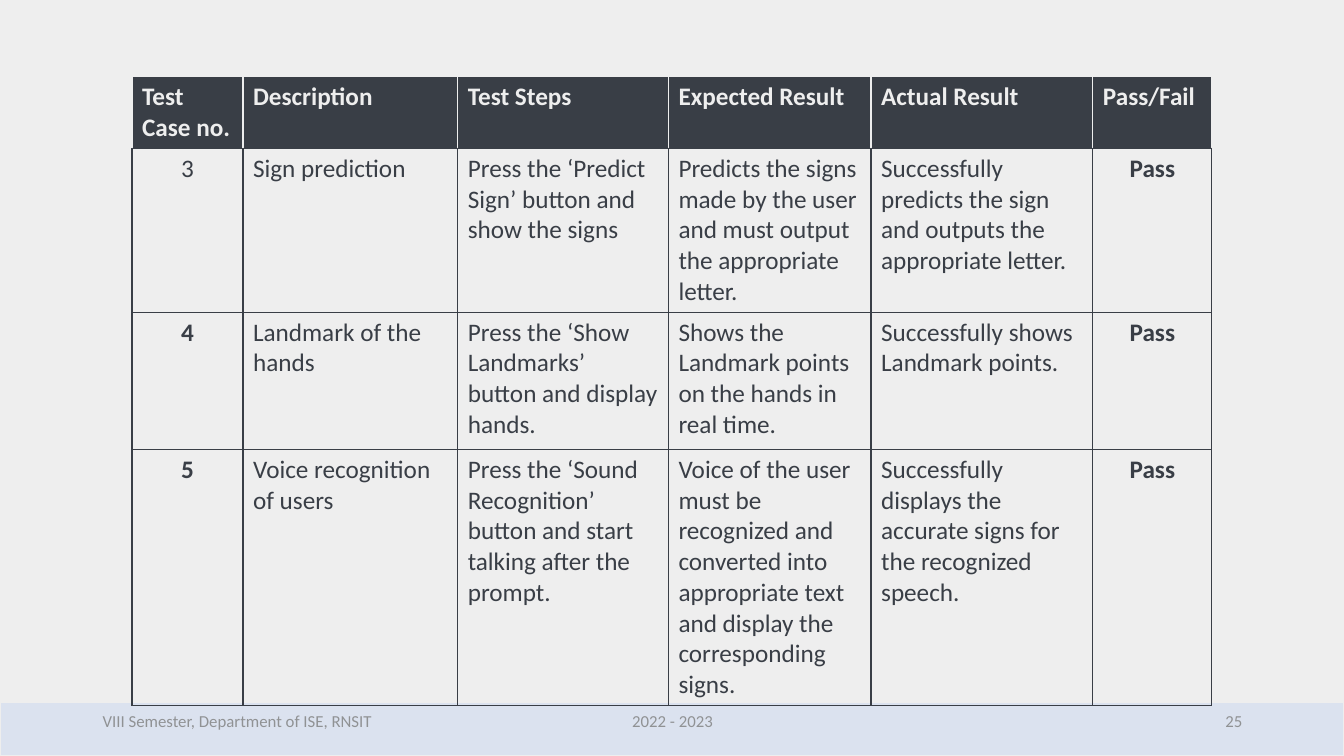
"""Build the test case results slide."""
from typing import NamedTuple

from lxml.etree import SubElement
from pptx import Presentation
from pptx.dml.color import RGBColor
from pptx.enum.shapes import MSO_SHAPE
from pptx.enum.text import MSO_ANCHOR, PP_ALIGN
from pptx.oxml.ns import qn
from pptx.util import Inches, Pt

INK = RGBColor(0x39, 0x3E, 0x46)
PAPER = RGBColor(0xEE, 0xEE, 0xEE)
BAND = RGBColor(0xDB, 0xE2, 0xEF)
MUTED = RGBColor(0x90, 0x92, 0x94)
FONT = "Calibri"

HEADINGS = ("Test Case no.", "Description", "Test Steps",
            "Expected Result", "Actual Result", "Pass/Fail")
COLUMN_WIDTHS = (1.1, 2.13, 2.09, 2.01, 2.2, 1.18)
ROW_HEIGHTS = (0.67, 1.52, 1.36, 1.36)
CENTERED_COLUMNS = (0, 5)


class TestCase(NamedTuple):
    number: str
    description: str
    steps: str
    expected: str
    actual: str
    verdict: str


class FooterItem(NamedTuple):
    text: str
    left: float
    width: float
    align: PP_ALIGN


TEST_CASES = (
    TestCase("3", "Sign prediction",
             "Press the ‘Predict Sign’ button and show the signs",
             "Predicts the signs made by the user and must output the appropriate letter.",
             "Successfully predicts the sign and outputs the appropriate letter.", "Pass"),
    TestCase("4", "Landmark of the hands",
             "Press the ‘Show Landmarks’ button and display hands.",
             "Shows the Landmark points on the hands in real time.",
             "Successfully shows Landmark points.", "Pass"),
    TestCase("5", "Voice recognition of users",
             "Press the ‘Sound Recognition’ button and start talking after the prompt.",
             "Voice of the user must be recognized and converted into appropriate text "
             "and display the corresponding signs.",
             "Successfully displays the accurate signs for the recognized speech.", "Pass"),
)
FOOTER = (
    FooterItem("VIII Semester, Department of ISE, RNSIT", 0.92, 3.5, PP_ALIGN.LEFT),
    FooterItem("2022 - 2023", 4.42, 4.5, PP_ALIGN.CENTER),
    FooterItem("25", 9.42, 3, PP_ALIGN.RIGHT),
)


def write(frame, text: str, *, size: float = 18, color: RGBColor = INK,
          bold: bool = False, align: PP_ALIGN = PP_ALIGN.LEFT) -> None:
    paragraph = frame.paragraphs[0]
    paragraph.alignment = align
    run = paragraph.add_run()
    run.text = text
    run.font.name = FONT
    run.font.size = Pt(size)
    run.font.bold = bold
    run.font.color.rgb = color


def set_borders(cell, sides: dict[str, RGBColor]) -> None:
    properties = cell._tc.get_or_add_tcPr()
    for side, color in sides.items():
        border = SubElement(properties, qn(f"a:ln{side}"), w=str(Pt(1)))
        solid = SubElement(border, qn("a:solidFill"))
        SubElement(solid, qn("a:srgbClr"), val=str(color))


def add_band(slide) -> None:
    band = slide.shapes.add_shape(MSO_SHAPE.RECTANGLE, Inches(0), Inches(6.97),
                                  Inches(13.33), Inches(0.53))
    band.shadow.inherit = False
    band.fill.solid()
    band.fill.fore_color.rgb = BAND
    band.line.color.rgb = PAPER
    band.line.width = Pt(1)


def add_results(slide) -> None:
    rows = (HEADINGS, *TEST_CASES)
    results = slide.shapes.add_table(
        len(rows), len(HEADINGS), Inches(1.31), Inches(0.76),
        Inches(sum(COLUMN_WIDTHS)), Inches(sum(ROW_HEIGHTS))).table
    results.horz_banding = False
    for column, width in zip(results.columns, COLUMN_WIDTHS):
        column.width = Inches(width)
    for row, height in zip(results.rows, ROW_HEIGHTS):
        row.height = Inches(height)
    for r, texts in enumerate(rows):
        for c, text in enumerate(texts):
            cell = results.cell(r, c)
            if r == 0:
                set_borders(cell, {"L": PAPER, "R": PAPER, "T": PAPER, "B": INK})
                cell.fill.solid()
                cell.fill.fore_color.rgb = INK
                write(cell.text_frame, text, color=PAPER, bold=True)
            else:
                set_borders(cell, dict.fromkeys("LRTB", INK))
                cell.fill.background()
                centered = c in CENTERED_COLUMNS
                write(cell.text_frame, text, bold=centered and text != "3",
                      align=PP_ALIGN.CENTER if centered else PP_ALIGN.LEFT)


def add_footer_item(slide, item: FooterItem) -> None:
    frame = slide.shapes.add_textbox(Inches(item.left), Inches(6.95),
                                     Inches(item.width), Inches(0.4)).text_frame
    frame.word_wrap = True
    frame.vertical_anchor = MSO_ANCHOR.MIDDLE
    write(frame, item.text, size=12, color=MUTED, align=item.align)


def main() -> None:
    deck = Presentation()
    deck.slide_width = Inches(13.33)
    deck.slide_height = Inches(7.5)
    slide = deck.slides.add_slide(deck.slide_layouts[6])
    slide.background.fill.solid()
    slide.background.fill.fore_color.rgb = PAPER
    add_band(slide)
    add_results(slide)
    for item in FOOTER:
        add_footer_item(slide, item)
    deck.save("out.pptx")


if __name__ == "__main__":
    main()
